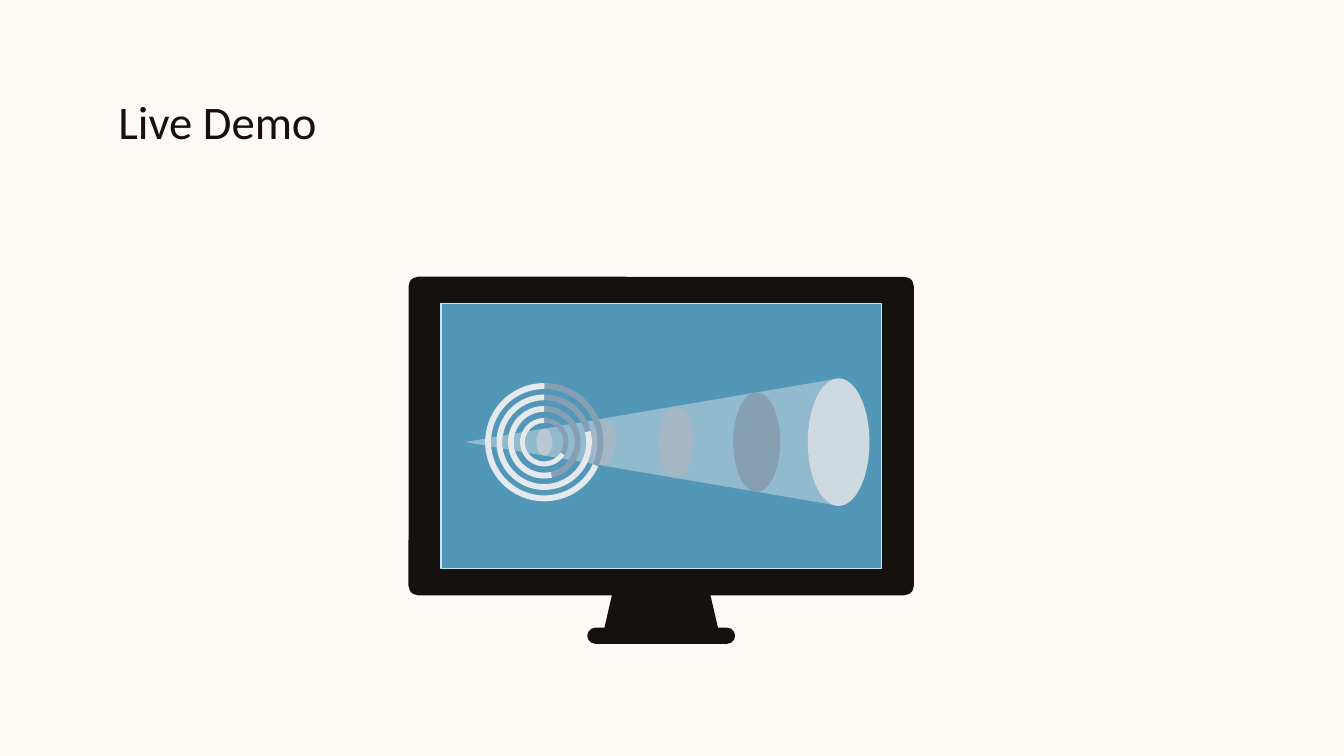
from math import cos, pi, sin

from lxml import etree
from pptx import Presentation
from pptx.dml.color import RGBColor
from pptx.enum.shapes import MSO_SHAPE
from pptx.enum.text import MSO_ANCHOR, PP_ALIGN
from pptx.oxml.ns import qn
from pptx.util import Inches, Pt

RECT, ROUND = MSO_SHAPE.RECTANGLE, MSO_SHAPE.ROUNDED_RECTANGLE
OVAL, DONUT, ARC = MSO_SHAPE.OVAL, MSO_SHAPE.DONUT, MSO_SHAPE.BLOCK_ARC

PAPER, INK, SCREEN, EDGE = "FFFAF6", "15110E", "5296B8", "C2E5F5"
LIGHT, TRACK = "E3E9ED", "869FB2"

SLIDE_W = Inches(10)
SLIDE_H = SLIDE_W * 9 // 16

TITLE = "Live Demo"
TITLE_BOX = (0.78, 0.59, 8.44, 0.6)
TITLE_FONT = {"name": "Calibri", "size": Pt(25), "bold": False}

STAND = [(4.56, 4.4), (4.47, 4.79), (5.37, 4.79), (5.28, 4.4)]
CASE = [
    (ROUND, (3.04, 2.06, 3.76, 2.37), [0.03]),
    (RECT, (3.16, 2.16, 3.52, 2.17), []),
    (ROUND, (4.37, 4.67, 1.1, 0.12), [0.5]),
]
SCREEN_BOX = (3.28, 2.26, 3.28, 1.97)

AXIS_Y = 3.29
CONE_TIP = 3.46
MOUTH_X, MOUTH_W, MOUTH_H = 6.24, 0.46, 0.95
SLICES = [
    (4.49, 0.18, 0.35, "A5B7C5"),
    (5.03, 0.26, 0.54, "A5B7C5"),
    (5.63, 0.35, 0.74, "869FB1"),
    (MOUTH_X, MOUTH_W, MOUTH_H, "CFD9E0"),
    (4.05, 0.12, 0.2, "BAC8D3"),
]

DIAL_X = 4.05
DIAL_TOP = 270
RINGS = [
    (0.88, 0.05, 296.5, 24.3),
    (0.71, 0.06, 294.9, 346.3),
    (0.54, 0.08, 289.6, 77.7),
    (0.36, 0.1, 284.4, 32.6),
]


def rgb(value):
    return RGBColor.from_string(value)


def paint(sp, color, line=None):
    sp.shadow.inherit = False
    sp.fill.solid()
    sp.fill.fore_color.rgb = rgb(color)
    if line:
        sp.line.color.rgb = rgb(line)
        sp.line.width = Pt(0.75)
    else:
        sp.line.fill.background()
    return sp


def add_shape(s, kind, box, color, adj=(), line=None):
    sp = s.shapes.add_shape(kind, *map(Inches, box))
    for i, value in enumerate(adj):
        sp.adjustments[i] = value
    return paint(sp, color, line)


def add_outline(s, points, color):
    start, *rest = [(Inches(x), Inches(y)) for x, y in points]
    builder = s.shapes.build_freeform(*start)
    builder.add_line_segments(rest, close=True)
    return paint(builder.convert_to_shape(), color)


def centred(x, w, h):
    return x - w / 2, AXIS_Y - h / 2, w, h


def add_title(s):
    sp = s.shapes.title
    sp.left, sp.top, sp.width, sp.height = map(Inches, TITLE_BOX)
    tf = sp.text_frame
    tf.word_wrap = True
    tf.vertical_anchor = MSO_ANCHOR.TOP
    for side in ("left", "top", "right", "bottom"):
        setattr(tf, f"margin_{side}", Inches(0.1))
    p = tf.paragraphs[0]
    p.alignment = PP_ALIGN.LEFT
    r = p.add_run()
    r.text = TITLE
    for key, value in TITLE_FONT.items():
        setattr(r.font, key, value)
    r.font.color.rgb = rgb(INK)


def add_monitor(s):
    add_outline(s, STAND, INK)
    for kind, box, adj in CASE:
        add_shape(s, kind, box, INK, adj)
    add_shape(s, RECT, SCREEN_BOX, SCREEN, line=EDGE)


def add_cone(s):
    angles = [pi * (0.56 + 0.88 * i / 24) for i in range(25)]
    rim = [(MOUTH_X + MOUTH_W / 2 * cos(a), AXIS_Y + MOUTH_H / 2 * sin(a)) for a in angles]
    cone = add_outline(s, [(CONE_TIP, AXIS_Y)] + rim, LIGHT)
    color = cone.element.spPr.find(qn("a:solidFill"))[0]
    etree.SubElement(color, qn("a:alpha")).set("val", "44000")
    for x, w, h, fill in SLICES:
        add_shape(s, OVAL, centred(x, w, h), fill)


def add_dial(s):
    for d, band, _, _ in RINGS:
        add_shape(s, DONUT, centred(DIAL_X, d, d), TRACK, [band])
    for d, band, turn, start in RINGS:
        ends = [(angle - turn) % 360 * 0.6 for angle in (start, DIAL_TOP)]
        sp = add_shape(s, ARC, centred(DIAL_X, d, d), LIGHT, ends + [band])
        sp.rotation = turn


def main():
    prs = Presentation()
    prs.slide_width, prs.slide_height = SLIDE_W, SLIDE_H
    s = prs.slides.add_slide(prs.slide_layouts[5])
    s.background.fill.solid()
    s.background.fill.fore_color.rgb = rgb(PAPER)
    add_title(s)
    add_monitor(s)
    add_cone(s)
    add_dial(s)
    prs.save("out.pptx")


if __name__ == "__main__":
    main()
